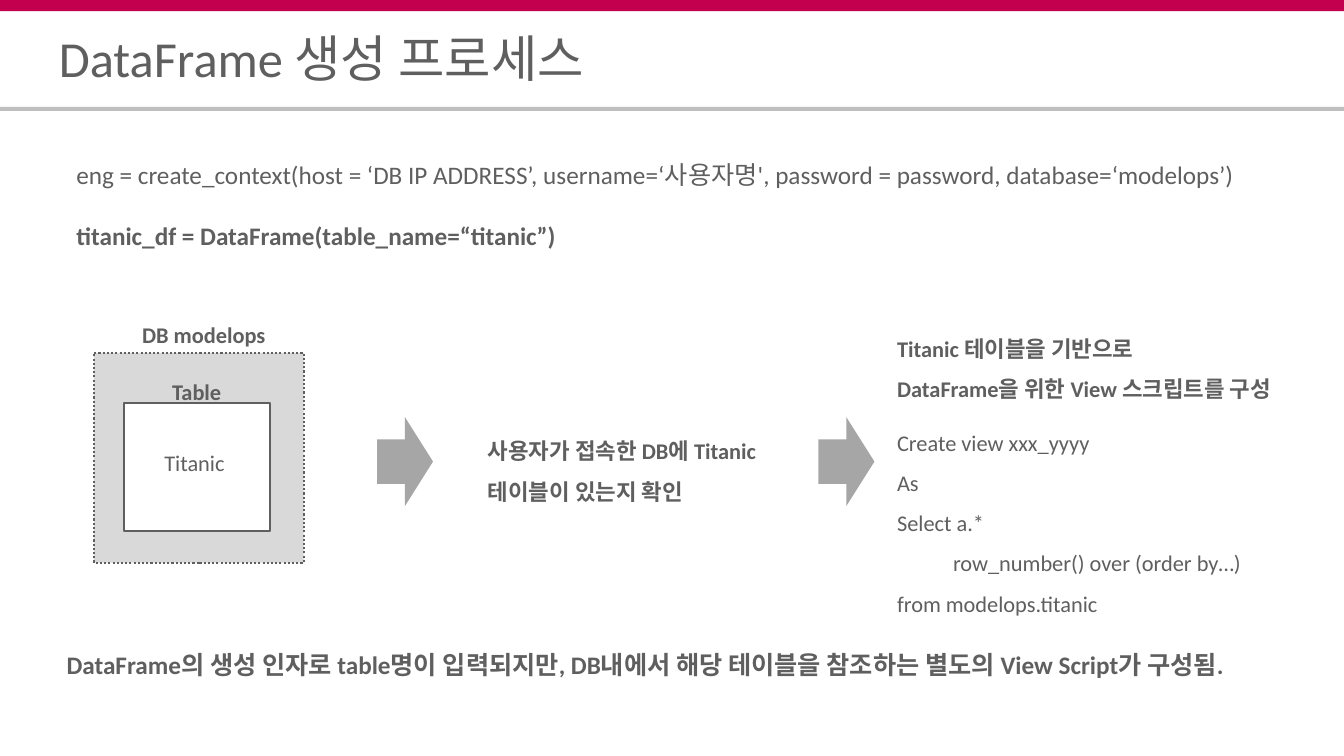
from dataclasses import dataclass

from pptx import Presentation
from pptx import util as u
from pptx.dml.color import RGBColor
from pptx.enum import dml, shapes, text


@dataclass(frozen=True)
class Theme:
    font: str = "Calibri"
    ink: str = "5F5F5F"
    accent: str = "C3004D"
    rule: str = "BFBFBF"
    panel: str = "D9D9D9"
    paper: str = "FFFFFF"
    arrow: str = "A6A6A6"
    title: int = 36
    body: int = 18
    label: int = 16


def apply(target, values):
    for name, value in values.items():
        setattr(target, name, value)


class SlideBuilder:
    def __init__(self, page, theme):
        self.page = page
        self.theme = theme

    def fill_text(self, frame, lines, size, bold=False, spacing=1.0, gap=0, inset=(0, 0),
                  align=text.PP_ALIGN.LEFT, anchor=text.MSO_ANCHOR.TOP, indents=None):
        side, top = (u.Pt(value) for value in inset)
        apply(frame, dict(word_wrap=True, auto_size=text.MSO_AUTO_SIZE.NONE,
                          vertical_anchor=anchor, margin_left=side,
                          margin_right=side, margin_top=top, margin_bottom=top))
        for index, line in enumerate(lines):
            para = frame.add_paragraph() if index else frame.paragraphs[0]
            apply(para, dict(alignment=align, line_spacing=spacing,
                             space_before=u.Pt(gap if index else 0)))
            if indents and index in indents:
                para._p.get_or_add_pPr().set("marL", str(u.Pt(indents[index])))
            span = para.add_run()
            span.text = line
            is_bold = index in bold if isinstance(bold, set) else bold
            apply(span.font, dict(name=self.theme.font, size=u.Pt(size), bold=is_bold))
            span.font.color.rgb = RGBColor.from_string(self.theme.ink)

    def title(self, place, line):
        holder = self.page.shapes.title
        apply(holder, dict(zip(("left", "top", "width", "height"), map(u.Pt, place))))
        self.fill_text(holder.text_frame, [line], self.theme.title, spacing=0.8,
                       anchor=text.MSO_ANCHOR.MIDDLE)

    def label(self, place, lines, size, **style):
        box = self.page.shapes.add_textbox(*map(u.Pt, place))
        self.fill_text(box.text_frame, lines, size, **style)

    def shape(self, place, fill, kind=shapes.MSO_SHAPE.RECTANGLE, dash=None):
        box = self.page.shapes.add_shape(kind, *map(u.Pt, place))
        box.shadow.inherit = False
        box.fill.solid()
        box.fill.fore_color.rgb = RGBColor.from_string(fill)
        if dash is None:
            box.line.fill.background()
        else:
            box.line.color.rgb = RGBColor.from_string(self.theme.ink)
            apply(box.line, dict(width=u.Pt(1.5), dash_style=dash))


def main():
    deck = Presentation()
    apply(deck, dict(slide_width=u.Pt(960), slide_height=u.Pt(540)))
    theme = Theme()
    slide = SlideBuilder(deck.slides.add_slide(deck.slide_layouts[5]), theme)

    slide.shape((0, 0, 960, 8), theme.accent)
    slide.shape((0, 76.3, 960, 2.9), theme.rule)
    slide.title((42, 24, 876, 42), "DataFrame 생성 프로세스")

    slide.label((47.5, 110, 883, 73), [
        "eng = create_context(host = ‘DB IP ADDRESS’, username=‘사용자명', "
        "password = password, database=‘modelops’)",
        "titanic_df = DataFrame(table_name=“titanic”)",
    ], theme.body, bold={1}, gap=22, inset=(7.2, 3.6))

    slide.shape((67, 252, 150, 150), theme.panel, dash=dml.MSO_LINE.ROUND_DOT)
    slide.shape((88.5, 288, 104.5, 91.5), theme.paper, dash=dml.MSO_LINE.SOLID)
    slide.label((101.5, 227.5, 100, 20), ["DB modelops"], theme.label,
                bold=True, spacing=1.1)
    slide.label((101.5, 268, 78, 20), ["Table"], theme.label, bold=True,
                spacing=1.1, align=text.PP_ALIGN.CENTER)
    slide.label((117.4, 319, 58, 21.5), ["Titanic"], theme.label, spacing=1.1)

    for left in (269.3, 584.6):
        slide.shape((left, 298, 40, 63.4), theme.arrow, shapes.MSO_SHAPE.RIGHT_ARROW)

    for place, lines in (
        ((348.5, 303, 225, 58),
         ["사용자가 접속한 DB에 Titanic", "테이블이 있는지 확인"]),
        ((640.8, 229.7, 305, 58),
         ["Titanic 테이블을 기반으로", "DataFrame을 위한 View 스크립트를 구성"]),
    ):
        slide.label(place, lines, theme.label, bold=True, spacing=1.5)

    slide.label((640.8, 296.6, 280, 146), [
        "Create view xxx_yyyy",
        "As",
        "Select a.*",
        "row_number() over (order by…)",
        "from modelops.titanic",
    ], theme.label, spacing=1.5, indents={3: 40})

    slide.label((47.5, 461.5, 890, 24), [
        "DataFrame의 생성 인자로 table명이 입력되지만, DB내에서 해당 테이블을 "
        "참조하는 별도의 View Script가 구성됨.",
    ], theme.body, bold=True, spacing=1.1)

    deck.save("out.pptx")


if __name__ == "__main__":
    main()
